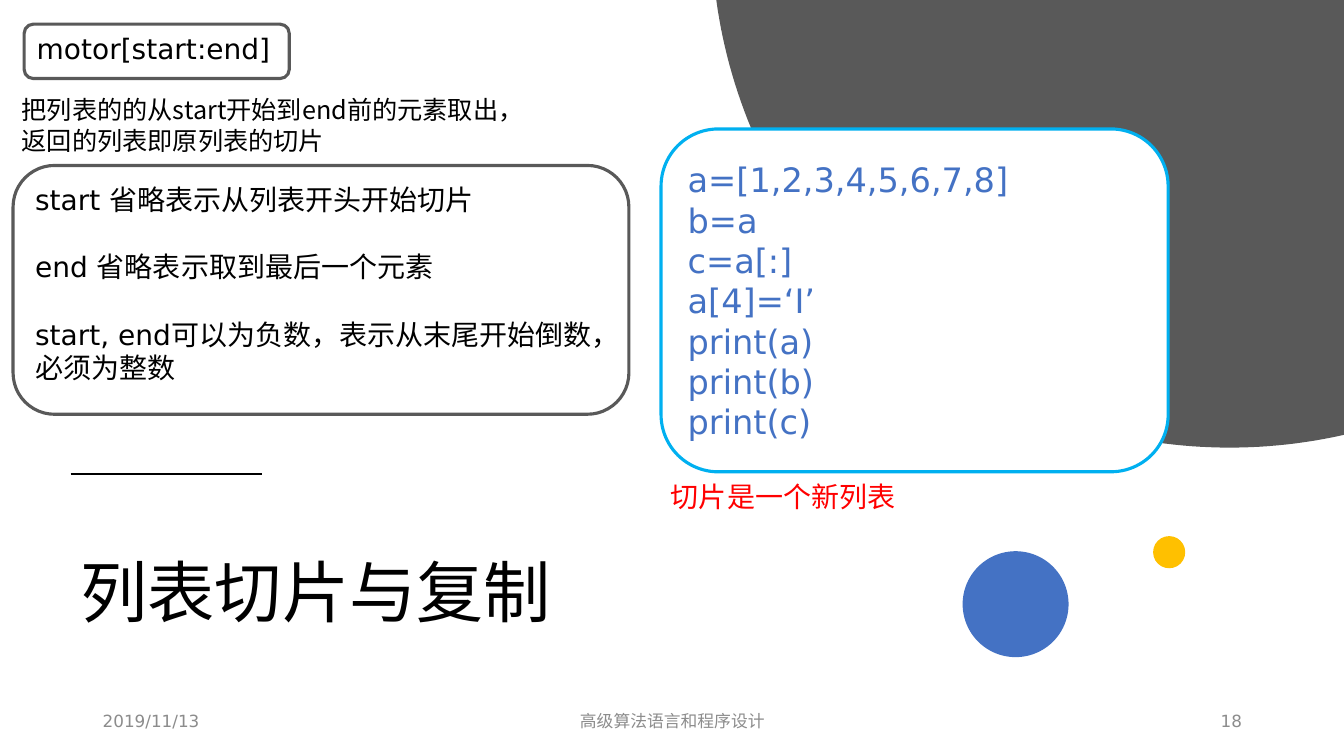
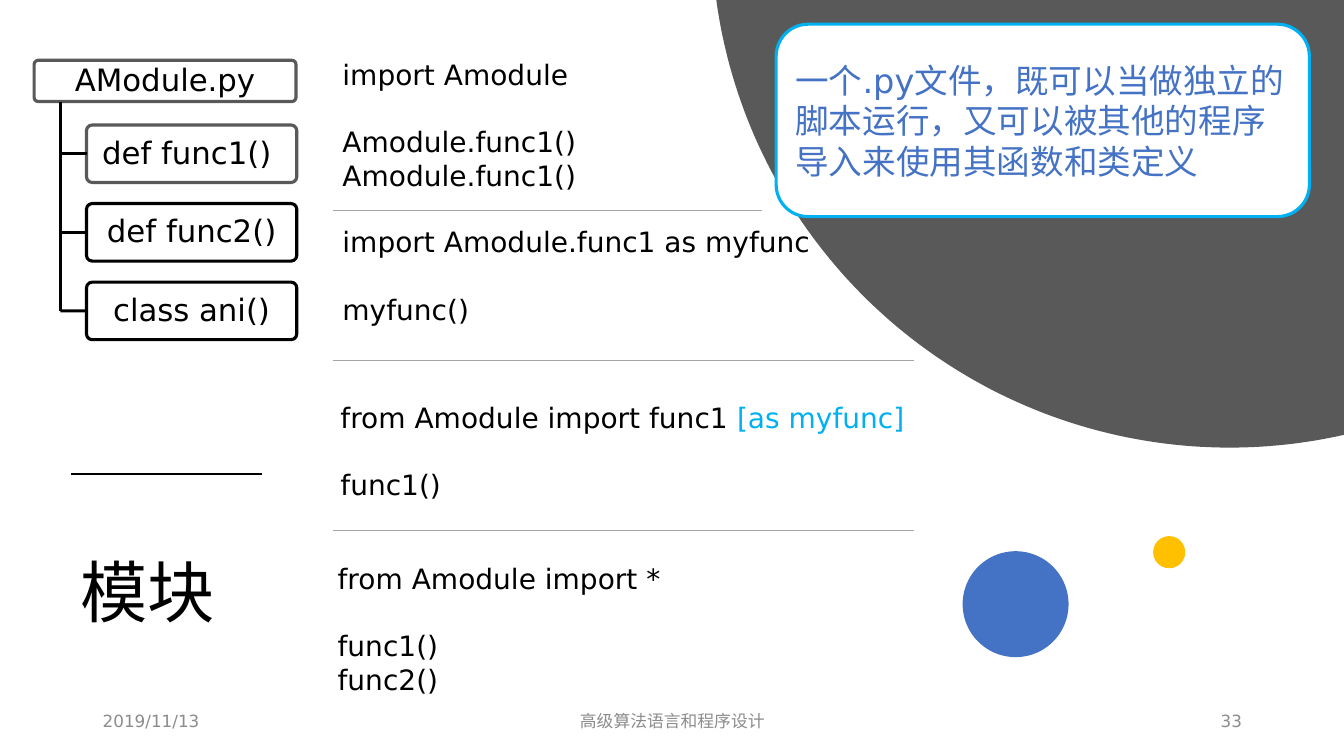
"""Build two lecture slides on list slicing and modules."""
from math import acos, asin, cos, pi, sin

from lxml.etree import SubElement
from pptx import Presentation
from pptx.dml.color import RGBColor
from pptx.enum.shapes import MSO_CONNECTOR, MSO_SHAPE
from pptx.enum.text import MSO_ANCHOR, PP_ALIGN
from pptx.oxml.ns import qn
from pptx.util import Cm, Pt

WIDTH, HEIGHT = 33.87, 19.05
LATIN, CHINESE = "DejaVu Sans", "Noto Sans CJK SC"
COLOURS = {
    "white": "FFFFFF",
    "black": "000000",
    "dark": "595959",
    "muted": "8C8C8C",
    "divider": "A5A5A5",
    "blue": "4472C4",
    "sky": "00B0F0",
    "gold": "FFC000",
    "red": "FF0000",
}
FORMATS = {
    "title": {"size": 48, "colour": "black", "name": CHINESE, "spacing": 1.08,
              "frame": {"vertical_anchor": MSO_ANCHOR.MIDDLE}},
    "footer": {"size": 12, "colour": "muted",
               "frame": {"vertical_anchor": MSO_ANCHOR.MIDDLE}},
    "body": {"size": 20, "colour": "black"},
    "summary": {"size": 18, "colour": "black", "name": CHINESE},
    "remark": {"size": 20, "colour": "red", "name": CHINESE},
    "card": {"size": 24, "colour": "blue",
             "frame": {"vertical_anchor": MSO_ANCHOR.MIDDLE}},
    "node": {"size": 22, "colour": "black", "spacing": 1.08,
             "align": PP_ALIGN.CENTER,
             "frame": {"vertical_anchor": MSO_ANCHOR.MIDDLE,
                       "margin_left": Cm(0.13), "margin_right": Cm(0.13),
                       "margin_top": Cm(0.08), "margin_bottom": Cm(0.08)}},
}


def colour(name):
    return RGBColor.from_string(COLOURS[name])


def paint(shape, fill, line=None):
    shape.shadow.inherit = False
    shape.fill.solid()
    shape.fill.fore_color.rgb = colour(fill)
    if line:
        shape.line.color.rgb = colour(line)
        shape.line.width = Pt(2.25)
    else:
        shape.line.fill.background()


def add_span(para, text, style, tint):
    span = para.add_run()
    span.text = text
    values = {"size": Pt(style["size"]), "name": style.get("name", LATIN)}
    for attribute, value in values.items():
        setattr(span.font, attribute, value)
    span.font.color.rgb = colour(tint)
    SubElement(span.font._element, qn("a:ea"), typeface=CHINESE)


def write(shape, groups, kind, align=None):
    style = FORMATS[kind]
    frame = shape.text_frame
    frame.word_wrap = True
    frame.vertical_anchor = MSO_ANCHOR.TOP
    for attribute, value in style.get("frame", {}).items():
        setattr(frame, attribute, value)
    pitch = Pt(style["size"] * style.get("spacing", 1.2))
    para = frame.paragraphs[0]
    for group_index, lines in enumerate(groups):
        for line_index, line in enumerate(lines):
            if group_index or line_index:
                para = frame.add_paragraph()
            para.alignment = align or style.get("align", PP_ALIGN.LEFT)
            para.line_spacing = pitch
            if group_index and not line_index:
                para.space_before = pitch
            spans = [(line, style["colour"])] if isinstance(line, str) else line
            for text, tint in spans:
                add_span(para, text, style, tint)


def add_text(page, place, groups, kind, align=None):
    box = page.shapes.add_textbox(*map(Cm, place))
    write(box, groups, kind, align)


def add_panel(page, place, groups, kind, line, corner=None):
    panel = page.shapes.add_shape(MSO_SHAPE.ROUNDED_RECTANGLE, *map(Cm, place))
    if corner is not None:
        panel.adjustments[0] = corner
    paint(panel, "white", line)
    write(panel, groups, kind)
    return panel


def add_line(page, start, end, tint, width):
    line = page.shapes.add_connector(
        MSO_CONNECTOR.STRAIGHT, *map(Cm, (*start, *end)))
    line.line.color.rgb = colour(tint)
    line.line.width = Pt(width)
    SubElement(line._element.spPr, qn("a:effectLst"))
    return line


def add_dot(page, left, top, size, fill):
    dot = page.shapes.add_shape(
        MSO_SHAPE.OVAL, Cm(left), Cm(top), Cm(size), Cm(size))
    paint(dot, fill)


def add_corner_disc(page):
    centre_x, centre_y, radius, steps = 30.99, -1.78, 13.06, 90
    first = acos((WIDTH - centre_x) / radius)
    last = pi - asin(-centre_y / radius)
    angles = [first + (last - first) * step / steps for step in range(steps + 1)]
    arc = [(Cm(centre_x + radius * cos(angle)), Cm(centre_y + radius * sin(angle)))
           for angle in angles]
    builder = page.shapes.build_freeform(Cm(WIDTH), 0)
    builder.add_line_segments(arc, close=True)
    paint(builder.convert_to_shape(), "dark")


def add_page(deck, title, number):
    page = deck.slides.add_slide(deck.slide_layouts[6])
    add_corner_disc(page)
    add_line(page, (1.78, 11.94), (6.6, 11.94), "black", 1.5)
    add_dot(page, 24.26, 13.89, 2.67, "blue")
    add_dot(page, 29.06, 13.51, 0.81, "gold")
    footers = [
        (2.34, 7.62, "2019/11/13", PP_ALIGN.LEFT),
        (11.23, 11.43, "高级算法语言和程序设计", PP_ALIGN.CENTER),
        (23.93, 7.62, number, PP_ALIGN.RIGHT),
    ]
    for left, width, text, align in footers:
        add_text(page, (left, 17.65, width, 1.02), [[text]], "footer", align)
    add_text(page, (1.78, 12.57, 20.57, 4.83), [[title]], "title")
    return page


def add_module_tree(page):
    trunk, child_top, step, child_height = 1.52, 3.15, 1.98, 1.45
    add_panel(page, (0.86, 1.52, 6.6, 1.04), [["AModule.py"]], "node", "dark", 0.1)
    last_middle = child_top + 2 * step + child_height / 2
    add_line(page, (trunk, 2.56), (trunk, last_middle), "black", 2.25)
    members = [("def func1() ", "dark"), ("def func2()", "black"),
               ("class ani()", "black")]
    for index, (label, outline) in enumerate(members):
        top = child_top + index * step
        middle = top + child_height / 2
        child = add_panel(page, (2.18, top, 5.3, child_height), [[label]],
                          "node", outline, 0.1)
        branch = add_line(page, (trunk, middle), (2.18, middle), "black", 2.25)
        branch.end_connect(child, 1)


def build_slicing(deck):
    page = add_page(deck, "列表切片与复制", "18")
    add_text(page, (0.3, 2.26, 14, 1.8),
             [["把列表的的从start开始到end前的元素取出，", "返回的列表即原列表的切片"]],
             "summary")
    add_panel(page, (0.61, 0.61, 6.68, 1.37), [["motor[start:end]"]], "body", "dark")
    add_text(page, (16.66, 11.96, 6.68, 1.12), [["切片是一个新列表"]], "remark")
    add_panel(page, (0.33, 4.17, 15.52, 6.27),
              [["start 省略表示从列表开头开始切片"],
               ["end 省略表示取到最后一个元素"],
               ["start, end可以为负数，表示从末尾开始倒数，必须为整数"]],
              "body", "dark")
    add_panel(page, (16.66, 3.25, 12.78, 8.64),
              [["a=[1,2,3,4,5,6,7,8]", "b=a", "c=a[:]", "a[4]=‘I’",
                "print(a)", "print(b)", "print(c)"]],
              "card", "sky")


def build_modules(deck):
    page = add_page(deck, "模块", "33")
    add_module_tree(page)
    examples = [
        (8.38, 1.32, 3.68,
         [["import Amodule"], ["Amodule.func1()", "Amodule.func1()"]]),
        (8.38, 5.54, 2.82, [["import Amodule.func1 as myfunc"], ["myfunc()"]]),
        (8.33, 9.96, 2.82,
         [[[("from Amodule import func1 ", "black"), ("[as myfunc]", "sky")]],
          ["func1()"]]),
        (8.26, 14.02, 3.68, [["from Amodule import *"], ["func1()", "func2()"]]),
    ]
    for left, top, height, groups in examples:
        add_text(page, (left, top, 18.44, height), groups, "body")
    for right, top in [(19.2, 5.31), (23.04, 9.09), (23.04, 13.36)]:
        add_line(page, (8.38, top), (right, top), "divider", 0.5)
    add_panel(page, (19.56, 0.61, 13.44, 4.85),
              [["一个.py文件，既可以当做独立的脚本运行，又可以被其他的程序导入来使用其函数和类定义"]],
              "card", "sky")


def main():
    deck = Presentation()
    deck.slide_width, deck.slide_height = Cm(WIDTH), Cm(HEIGHT)
    build_slicing(deck)
    build_modules(deck)
    deck.save("out.pptx")


if __name__ == "__main__":
    main()
